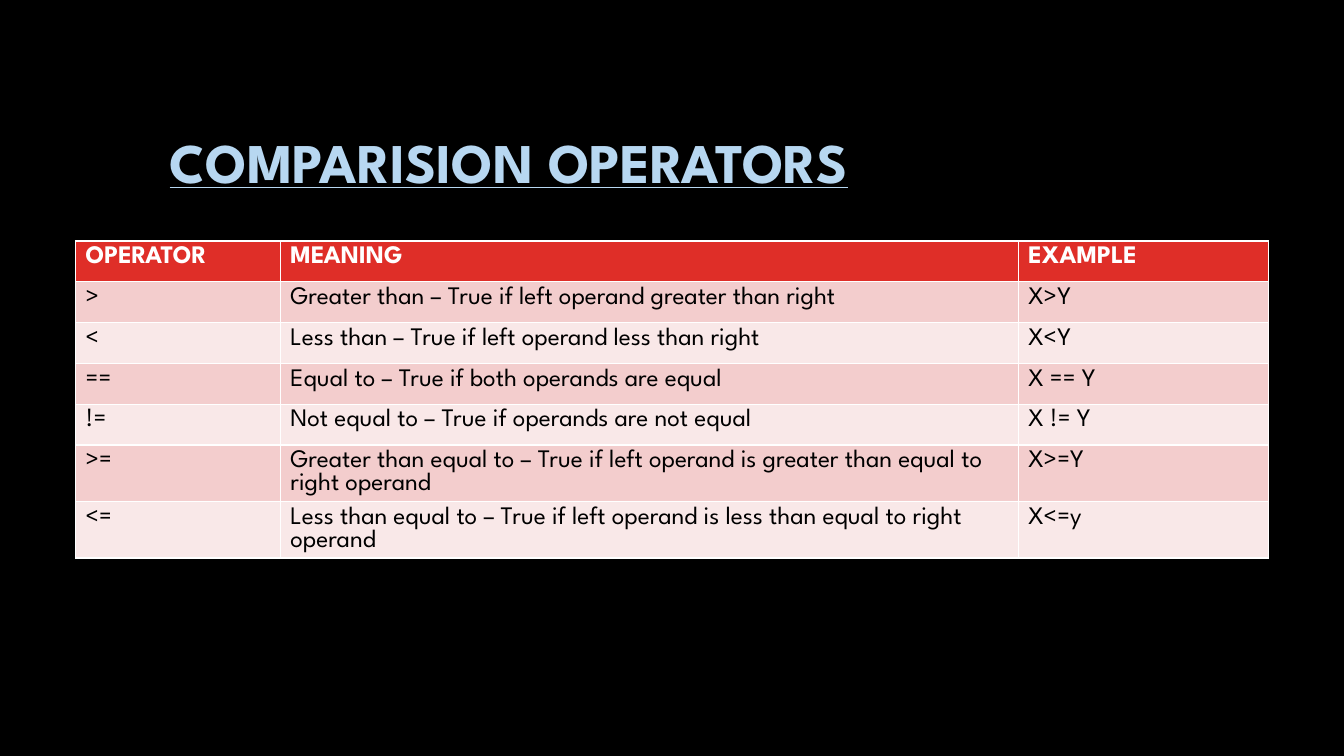
from pptx import Presentation
from pptx.dml.color import RGBColor
from pptx.enum.text import MSO_ANCHOR, PP_ALIGN
from pptx.util import Inches, Pt


def paint(fill, color):
    fill.solid()
    fill.fore_color.rgb = RGBColor.from_string(color)


def style(font, color, **values):
    """Set the typeface, the colour and any further font attributes."""
    font.name = "League Spartan"
    paint(font.fill, color)
    for name, value in values.items():
        setattr(font, name, value)


deck = Presentation()
deck.slide_width, deck.slide_height = Inches(13.33), Inches(7.5)
slide = deck.slides.add_slide(deck.slide_layouts[5])
paint(slide.background.fill, "000000")

# Title
title = slide.shapes.title
place = {"left": -0.91, "top": 0.94, "width": 9.42, "height": 1.41}
for name, value in place.items():
    setattr(title, name, Inches(value))
frame = title.text_frame
frame.text = "COMPARISION OPERATORS"
frame.word_wrap = True
frame.vertical_anchor = MSO_ANCHOR.MIDDLE
line = frame.paragraphs[0]
line.alignment = PP_ALIGN.RIGHT
line.line_spacing = 0.9
style(line.runs[0].font, "B7D7F1", size=Pt(40), bold=True, underline=True)

# Operator table; the default table style supplies the white borders
rows = [
    ("OPERATOR", "MEANING", "EXAMPLE"),
    (">", "Greater than – True if left operand greater than right", "X>Y"),
    ("<", "Less than – True if left operand less than right", "X<Y"),
    ("==", "Equal to – True if both operands are equal", "X == Y"),
    ("!=", "Not equal to – True if operands are not equal", "X != Y"),
    (">=", "Greater than equal to – True if left operand is greater than "
           "equal to right operand", "X>=Y"),
    ("<=", "Less than equal to – True if left operand is less than "
           "equal to right operand", "X<=y"),
]
widths = [2.03, 7.32, 2.48]
height = 0.405
table = slide.shapes.add_table(
    len(rows), len(widths), Inches(0.75), Inches(2.39),
    Inches(sum(widths)), Inches(height * len(rows))).table
for column, width in zip(table.columns, widths):
    column.width = Inches(width)

bands = ["F9E8E8", "F3CDCD"]
for i, row in enumerate(rows):
    head = i == 0
    for j, text in enumerate(row):
        cell = table.cell(i, j)
        cell.text = text
        paint(cell.fill, "DF2E28" if head else bands[i % 2])
        font = cell.text_frame.paragraphs[0].runs[0].font
        style(font, "FFFFFF" if head else "000000", size=Pt(18), bold=head)

deck.save("out.pptx")
